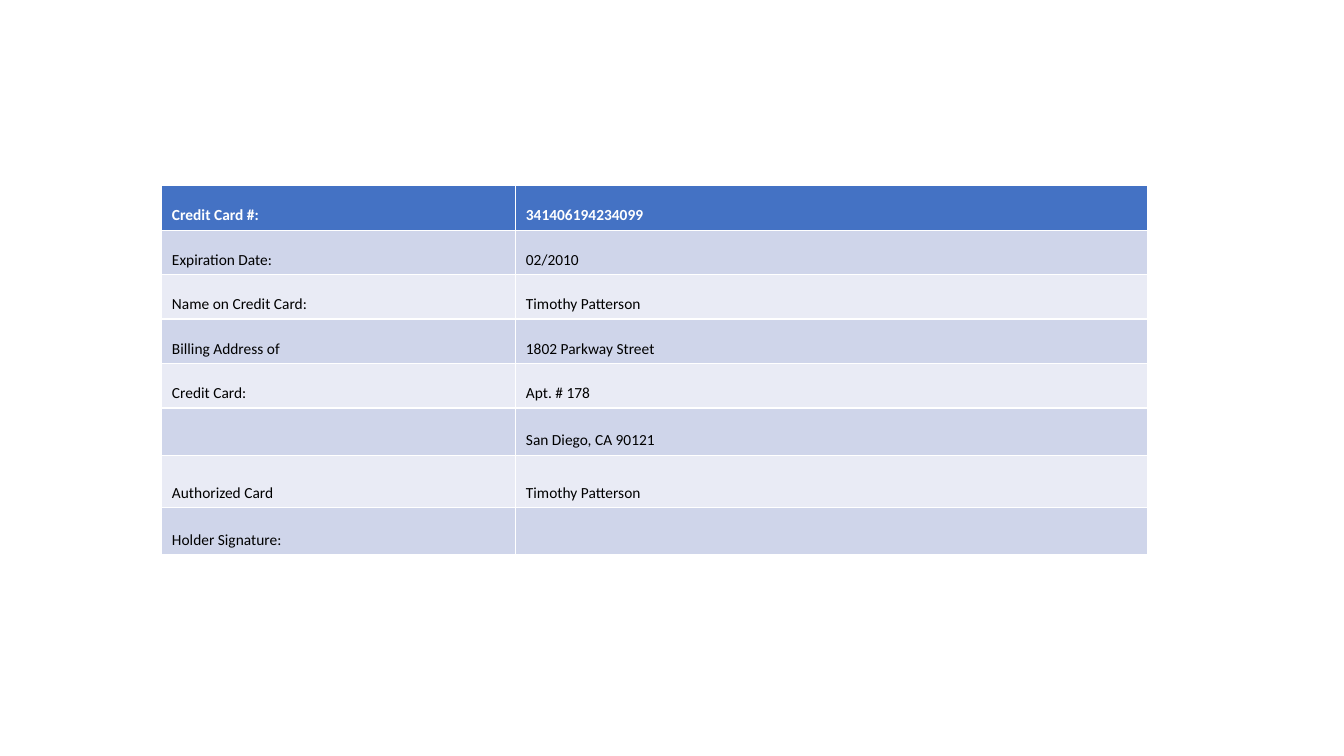
from pptx import Presentation
from pptx.dml.color import RGBColor
from pptx.enum.text import MSO_ANCHOR
from pptx.util import Cm, Pt

BOTTOM = MSO_ANCHOR.BOTTOM
WHITE = RGBColor(0xFF, 0xFF, 0xFF)
BLACK = RGBColor(0, 0, 0)
HEADER_BLUE = RGBColor(0x44, 0x72, 0xC4)
BANDS = (RGBColor(0xCF, 0xD5, 0xEA), RGBColor(0xE9, 0xEB, 0xF5))
NBSP = "\u00a0"

CARD_DETAILS = [
    ("Credit Card #:", "341406194234099"),
    ("Expiration Date:", "02/2010"),
    ("Name on Credit Card:", "Timothy Patterson"),
    ("Billing Address of", "1802 Parkway Street"),
    ("Credit Card:", "Apt. # 178"),
    ("", "San Diego, CA 90121"),
    ("Authorized Card", "Timothy Patterson"),
    ("Holder Signature:", ""),
]
COLUMN_WIDTHS = (8.92, 15.92)
ROW_HEIGHTS = [1.12] * 5 + [1.19, 1.32, 1.19]

deck = Presentation()
deck.slide_width = Cm(33.87)
deck.slide_height = Cm(19.05)
page = deck.slides.add_slide(deck.slide_layouts[6])

table = page.shapes.add_table(
    len(CARD_DETAILS), len(COLUMN_WIDTHS), Cm(4.08), Cm(4.68),
    Cm(sum(COLUMN_WIDTHS)), Cm(sum(ROW_HEIGHTS)),
).table
for column, width in zip(table.columns, COLUMN_WIDTHS):
    column.width = Cm(width)

for row_index, (row, height, details) in enumerate(
        zip(table.rows, ROW_HEIGHTS, CARD_DETAILS)):
    row.height = Cm(height)
    is_header = row_index == 0
    for cell, text in zip(row.cells, details):
        cell.fill.solid()
        cell.fill.fore_color.rgb = HEADER_BLUE if is_header else BANDS[(row_index - 1) % 2]
        cell.vertical_anchor = BOTTOM
        if text:
            span = cell.text_frame.paragraphs[0].add_run()
            span.text = text + NBSP
            span.font.name = "Calibri"
            span.font.size = Pt(11)
            span.font.bold = is_header
            span.font.color.rgb = WHITE if is_header else BLACK

deck.save("out.pptx")
